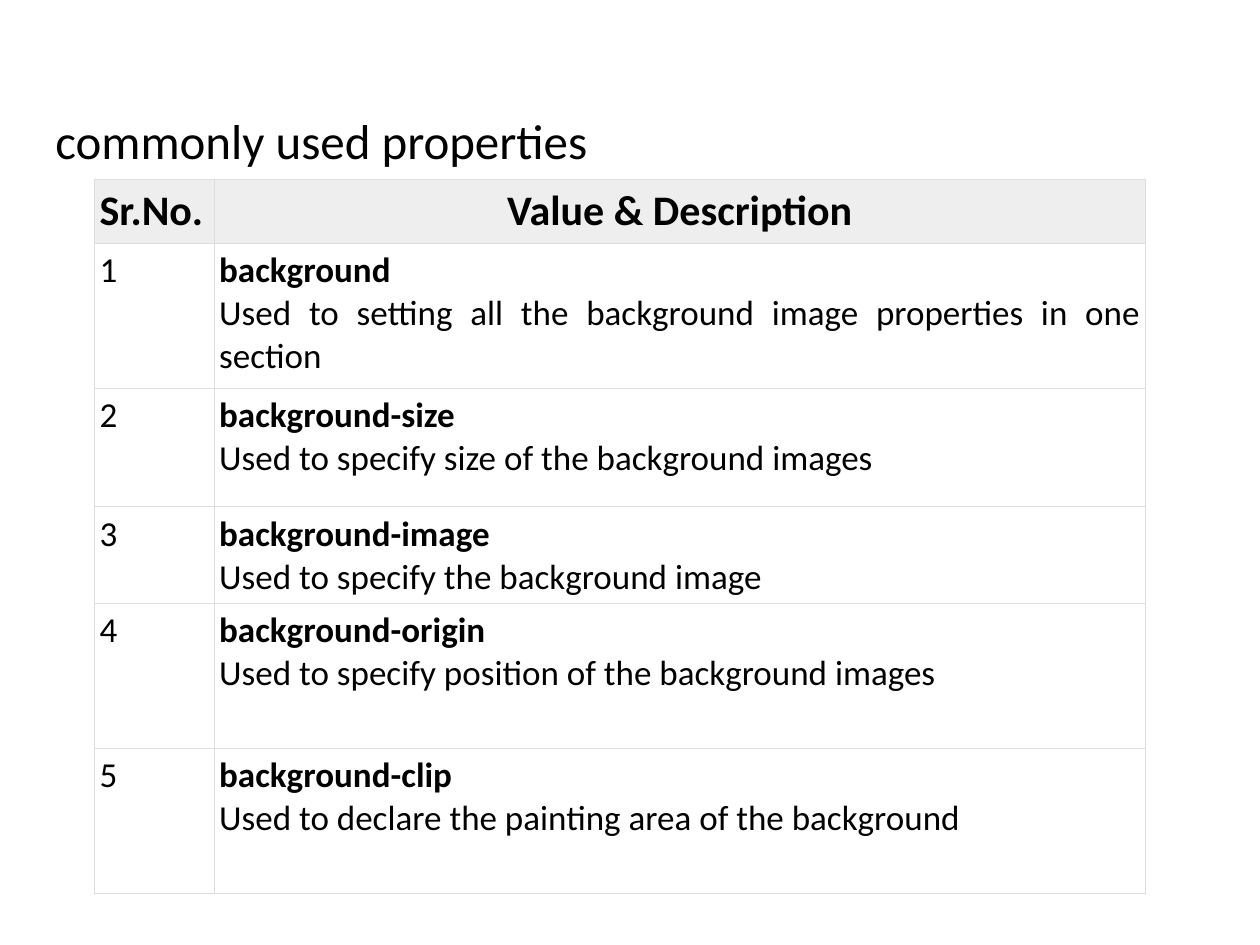
from lxml.etree import SubElement
from pptx import Presentation
from pptx.dml.color import RGBColor
from pptx.enum.text import PP_ALIGN as Align
from pptx.oxml.ns import qn
from pptx.util import Inches, Pt

WIDTH, HEIGHT = 10, 7.5
COLUMNS = (0.95, 7.39)
ROWS = (0.51, 1.15, 0.94, 0.74, 1.15, 1.15)
CELL_INSETS = {
    "margin_left": Inches(0.04),
    "margin_right": Inches(0.04),
    "margin_top": Inches(0.05),
    "margin_bottom": Inches(0.05),
}
PROPERTIES = (
    ("background", "Used to setting all the background image properties in one section"),
    ("background-size", "Used to specify size of the background images"),
    ("background-image", "Used to specify the background image"),
    ("background-origin", "Used to specify position of the background images"),
    ("background-clip", "Used to declare the painting area of the background"),
)


def colour(value):
    return RGBColor.from_string(value)


def apply(target, values):
    for name, value in values.items():
        setattr(target, name, value)


def write(frame, lines, size, align=Align.LEFT):
    for index, (words, bold) in enumerate(lines):
        line = frame.paragraphs[0] if index == 0 else frame.add_paragraph()
        line.alignment = align
        run = line.add_run()
        run.text = words
        apply(run.font, {"name": "Calibri", "size": Pt(size), "bold": bold})
        run.font.color.rgb = colour("000000")


def add_heading(slide, words):
    heading = slide.shapes.add_textbox(
        Inches(0.25), Inches(0.83), Inches(9.67), Inches(6.5)
    ).text_frame
    apply(heading, {"word_wrap": True, "margin_left": Inches(0.19)})
    write(heading, [(words, False)], 28)
    heading.paragraphs[0].space_before = Pt(7)


def add_borders(cell, hex_value):
    properties = cell._tc.get_or_add_tcPr()
    for index, side in enumerate(("lnL", "lnR", "lnT", "lnB")):
        border = properties.makeelement(qn(f"a:{side}"), {"w": str(Pt(0.23))})
        fill = SubElement(border, qn("a:solidFill"))
        SubElement(fill, qn("a:srgbClr"), val=hex_value)
        properties.insert(index, border)


def fill_cell(cell, lines, size, align=Align.LEFT, shade=None):
    apply(cell, CELL_INSETS)
    if shade:
        cell.fill.solid()
        cell.fill.fore_color.rgb = colour(shade)
    else:
        cell.fill.background()
    add_borders(cell, "DDDDDD")
    write(cell.text_frame, lines, size, align)


def add_property_table(slide):
    table = slide.shapes.add_table(
        len(ROWS), len(COLUMNS), Inches(0.75), Inches(1.42),
        Inches(sum(COLUMNS)), Inches(sum(ROWS)),
    ).table
    apply(table, {"first_row": False, "horz_banding": False})
    for column, width in zip(table.columns, COLUMNS):
        column.width = Inches(width)
    for row, height in zip(table.rows, ROWS):
        row.height = Inches(height)
    fill_cell(table.cell(0, 0), [("Sr.No.", True)], 24, shade="EEEEEE")
    fill_cell(table.cell(0, 1), [("Value & Description", True)], 24, Align.CENTER, "EEEEEE")
    for number, (name, description) in enumerate(PROPERTIES, 1):
        fill_cell(table.cell(number, 0), [(str(number), False)], 20)
        fill_cell(table.cell(number, 1), [(name, True), (description, False)], 20, Align.JUSTIFY)


def main():
    deck = Presentation()
    apply(deck, {"slide_width": Inches(WIDTH), "slide_height": Inches(HEIGHT)})
    slide = deck.slides.add_slide(deck.slide_layouts[6])
    add_heading(slide, "commonly used properties")
    add_property_table(slide)
    deck.save("out.pptx")


if __name__ == "__main__":
    main()
